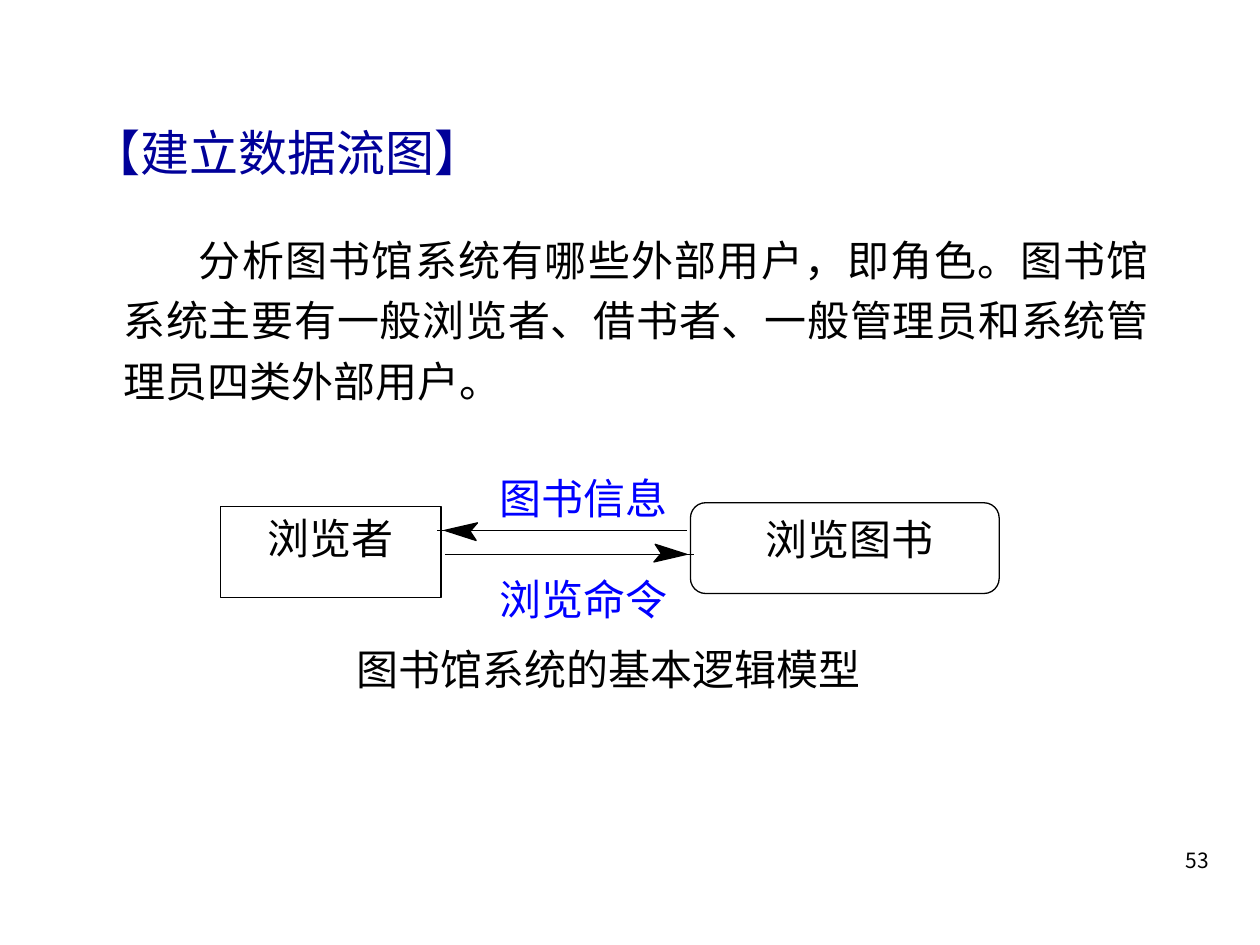
"""Build a slide on the data flow diagram of a library system."""
from lxml import etree
from pptx import Presentation, util as u
from pptx.dml.color import RGBColor
from pptx.enum import shapes, text
from pptx.oxml.ns import qn

W, H = 10, 7.5
FACE = "Noto Sans CJK SC"
INK = {"head": "000099", "text": "000000", "flow": "0000FF", "fill": "FFFFFF"}
LEFT, MID, JUST = text.PP_ALIGN.LEFT, text.PP_ALIGN.CENTER, text.PP_ALIGN.JUSTIFY
KIND = shapes.MSO_SHAPE

HEAD = "【建立数据流图】"
BODY = ("分析图书馆系统有哪些外部用户，即角色。图书馆系统主要有一般浏览者、"
        "借书者、一般管理员和系统管理员四类外部用户。")
NODES = [
    ("浏览者", KIND.RECTANGLE, (1.75, 4.02, 1.75, 0.72), 0.1),
    ("浏览图书", KIND.FLOWCHART_ALTERNATE_PROCESS, (5.48, 3.99, 2.45, 0.72), 0.18),
]
FLOWS = [
    ("图书信息", 3.75, 4.21, 5.45, -1),
    ("浏览命令", 4.55, 4.4, 3.53, 1),
]
RUN, GAP = 1.98, 0.06
BARB = [(0, 0), (-0.26, 0.06), (-0.2, -0.01), (-0.19, 0.01), (-0.25, -0.08)]
NOTE = "图书馆系统的基本逻辑模型"


def tint(name):
    return RGBColor.from_string(INK[name])


def write(shape, words, size=24, ink="text", align=MID, inset=(0.1, 0.05), wrap=True):
    frame = shape.text_frame
    frame.word_wrap = wrap
    frame.vertical_anchor = text.MSO_ANCHOR.TOP
    frame.margin_left = frame.margin_right = u.Inches(inset[0])
    frame.margin_top = frame.margin_bottom = u.Inches(inset[1])
    para = frame.paragraphs[0]
    para.text, para.alignment = words, align
    font = para.font
    font.size, font.name = u.Pt(size), FACE
    font.color.rgb = tint(ink)
    base = para._p.pPr.find(qn("a:defRPr"))
    east = etree.Element(qn("a:ea"), typeface=FACE)
    base.find(qn("a:latin")).addnext(east)
    return para


def label(slide, words, area, **style):
    box = slide.shapes.add_textbox(*map(u.Inches, area))
    return write(box, words, **style)


def indent(para, left, first):
    prop = para._p.get_or_add_pPr()
    prop.set("marL", str(u.Inches(left)))
    prop.set("indent", str(u.Inches(first)))


def paint(shape, fill):
    shape.shadow.inherit = False
    shape.fill.solid()
    shape.fill.fore_color.rgb = tint(fill)
    shape.line.color.rgb = tint("text")
    shape.line.width = u.Pt(0.75)


def node(slide, words, kind, area, pad):
    shape = slide.shapes.add_shape(kind, *map(u.Inches, area))
    paint(shape, "fill")
    write(shape, words)
    shape.text_frame.margin_left = u.Inches(pad)


def arrow(slide, y, start, way):
    tip = start + way * (RUN - GAP)
    dots = [(u.Inches(tip + way * dx), u.Inches(y + way * dy)) for dx, dy in BARB]
    pen = slide.shapes.build_freeform(*dots[0])
    pen.add_line_segments(dots[1:])
    paint(pen.convert_to_shape(), "text")
    ends = (start, y, start + way * RUN, y)
    line = slide.shapes.add_connector(shapes.MSO_CONNECTOR.STRAIGHT, *map(u.Inches, ends))
    line.line.color.rgb = tint("text")
    line.line.width = u.Pt(0.75)
    etree.SubElement(line._element.spPr, qn("a:effectLst"))


def main():
    deck = Presentation()
    deck.slide_width, deck.slide_height = u.Inches(W), u.Inches(H)
    slide = deck.slides.add_slide(deck.slide_layouts[6])
    head = label(slide, HEAD, (0.33, 0.92, 9.17, 0.6), size=28, ink="head", align=LEFT)
    indent(head, 0.31, -0.01)
    body = label(slide, BODY, (0.5, 1.73, 8.72, 1.7), align=JUST)
    indent(body, 0.38, 0.6)
    body.line_spacing = 1.2
    for item in NODES:
        node(slide, *item)
    label(slide, NOTE, (1.58, 5.06, 6.5, 0.69))
    for words, top, y, start, way in FLOWS:
        label(slide, words, (3.76, top, 1.75, 0.4), ink="flow", inset=(0, 0))
        arrow(slide, y, start, way)
    label(slide, "53", (9.31, 6.68, 0.41, 0.3), size=12, align=LEFT, wrap=False)
    deck.save("out.pptx")


if __name__ == "__main__":
    main()
